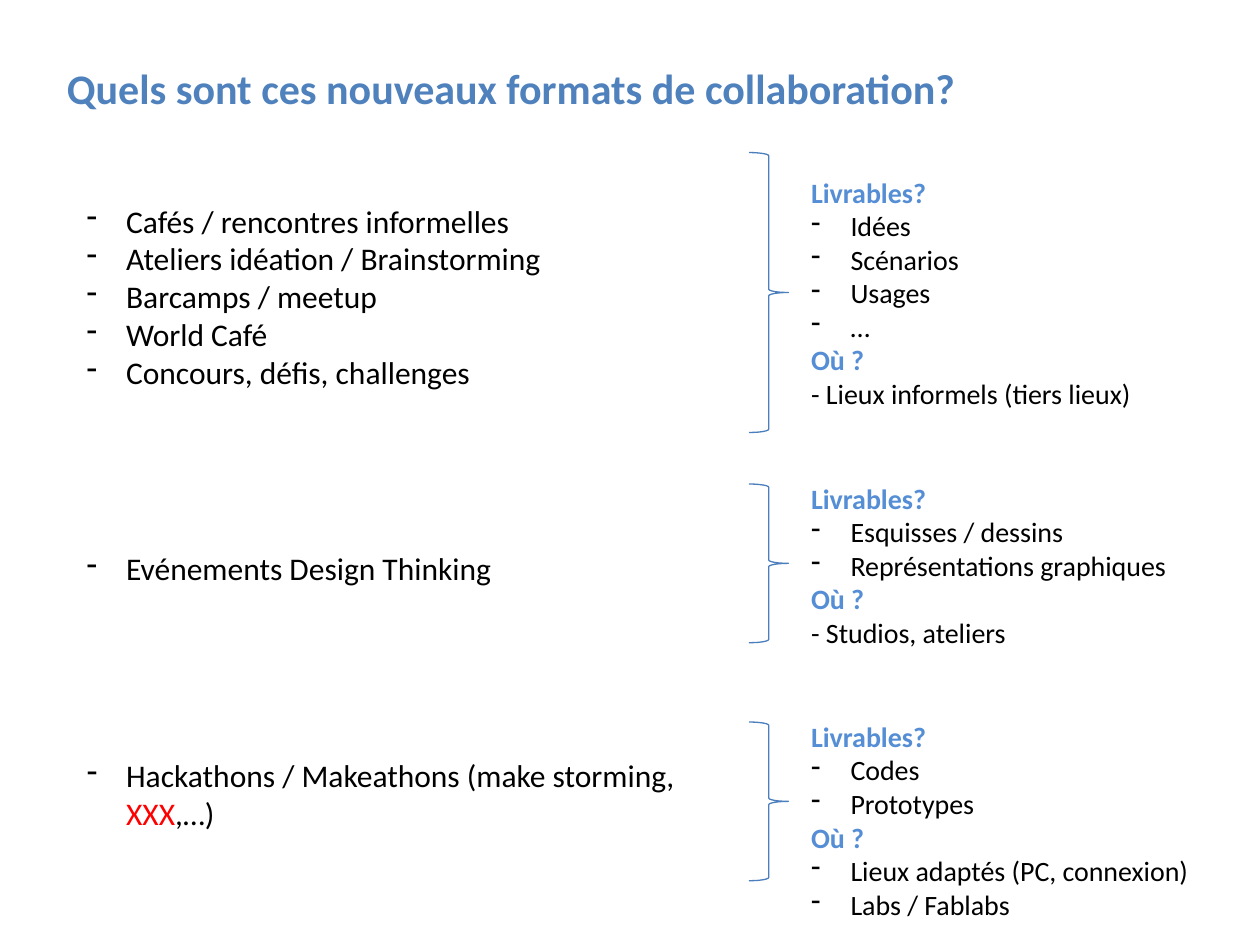
"""Build the slide on new collaboration formats."""
from lxml.etree import SubElement
from pptx import Presentation
from pptx.dml.color import RGBColor
from pptx.enum.shapes import MSO_SHAPE
from pptx.enum.text import MSO_ANCHOR, PP_ALIGN
from pptx.oxml.ns import qn
from pptx.util import Pt


def paint(font, size, color, bold=False):
    font.name, font.size, font.bold = "Calibri", Pt(size), bold
    font.color.rgb = RGBColor.from_string(color)


def write(left, top, width, height, lines, size):
    box = slide.shapes.add_textbox(Pt(left), Pt(top), Pt(width), Pt(height))
    frame = box.text_frame
    frame.word_wrap = True
    for i, line in enumerate(lines):
        para = frame.paragraphs[0] if i == 0 else frame.add_paragraph()
        head = line in HEADS
        paint(para.font, size, "558ED5" if head else "000000", head)
        before, mark, after = line.partition("XXX")
        for part in filter(None, (before, mark, after)):
            run = para.add_run()
            run.text = part
            if part == "XXX":
                paint(run.font, size, "FF0000")
        if not head and not line.startswith("- "):
            props = para._p.get_or_add_pPr()
            props.set("marL", str(Pt(22.5)))
            props.set("indent", str(Pt(-22.5)))
            SubElement(props, qn("a:buFontTx"))
            SubElement(props, qn("a:buChar"), char="-")


HEADS = ("Livrables?", "Où ?")

deck = Presentation()
deck.slide_width, deck.slide_height = Pt(720), Pt(540)
slide = deck.slides.add_slide(deck.slide_layouts[5])

title = slide.shapes.title
title.left, title.top, title.width, title.height = Pt(31), Pt(32), Pt(607), Pt(36)
title.text_frame.text = "Quels sont ces nouveaux formats de collaboration?"
title.text_frame.vertical_anchor = MSO_ANCHOR.TOP
para = title.text_frame.paragraphs[0]
para.alignment = PP_ALIGN.LEFT
paint(para.font, 24, "4F81BD", True)

groups = [
    ((111.6, 329, 116.6),
     ["Cafés / rencontres informelles", "Ateliers idéation / Brainstorming",
      "Barcamps / meetup", "World Café", "Concours, défis, challenges"],
     (87.2, 160),
     (96.5, 145.4),
     ["Livrables?", "Idées", "Scénarios", "Usages", "…",
      "Où ?", "- Lieux informels (tiers lieux)"]),
    ((310.4, 345.6, 29),
     ["Evénements Design Thinking"],
     (276.6, 90.7),
     (271.4, 106.6),
     ["Livrables?", "Esquisses / dessins", "Représentations graphiques",
      "Où ?", "- Studios, ateliers"]),
    ((428.6, 385.2, 51),
     ["Hackathons / Makeathons (make storming, XXX,…)"],
     (412.6, 90.7),
     (407.5, 124),
     ["Livrables?", "Codes", "Prototypes",
      "Où ?", "Lieux adaptés (PC, connexion)", "Labs / Fablabs"]),
]

for (top, width, height), formats, span, place, results in groups:
    write(42.5, top, width, height, formats, 18)
    brace = slide.shapes.add_shape(
        MSO_SHAPE.RIGHT_BRACE, Pt(428), Pt(span[0]), Pt(22.6), Pt(span[1]))
    brace.shadow.inherit = False
    brace.fill.background()
    brace.line.color.rgb = RGBColor.from_string("4B7EBC")
    brace.line.width = Pt(0.75)
    write(456.4, place[0], 241.2, place[1], results, 16)

deck.save("out.pptx")
